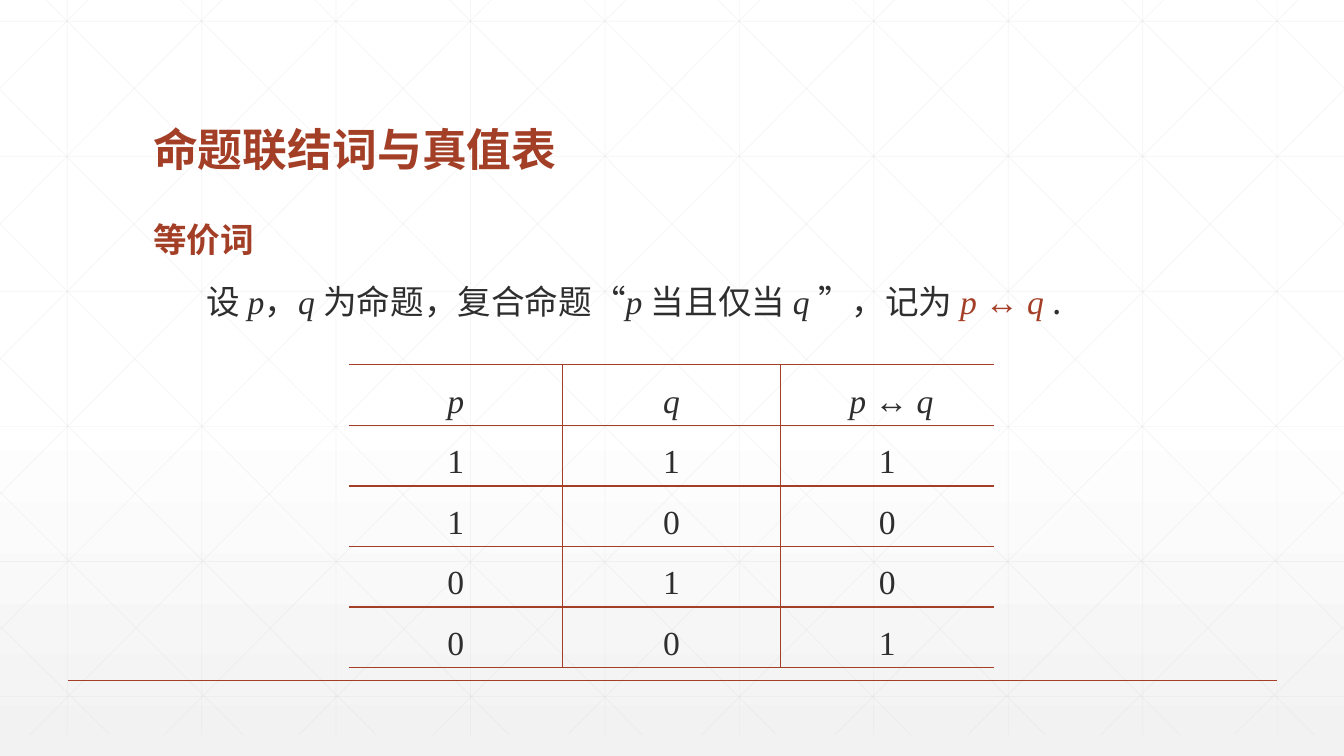
from dataclasses import dataclass

from lxml.etree import SubElement
from pptx import Presentation
from pptx.dml.color import RGBColor
from pptx.enum.shapes import MSO_CONNECTOR
from pptx.enum.text import MSO_ANCHOR, PP_ALIGN
from pptx.oxml import parse_xml
from pptx.oxml.ns import nsdecls, qn
from pptx.util import Inches, Pt

COLORS = {
    "accent": "A43F27",
    "ink": "2D2E2D",
    "lattice": "D9D9D9",
    "sky": "FFFFFF",
    "ground": "F2F2F2",
}
HAN = "Noto Sans CJK SC"
MATH = "Times New Roman"
WIDTH, HEIGHT = 13.33, 7.5
LATTICE_TOP, LATTICE_BOTTOM = -0.21, 7.29
STEP = 4 / 3


@dataclass(frozen=True)
class Words:
    text: str
    color: str = "ink"
    latin: str = HAN
    east_asian: str = HAN
    size: int = 24
    bold: bool = False
    italic: bool = False


@dataclass(frozen=True)
class Segment:
    x1: float
    y1: float
    x2: float
    y2: float
    color: str = "lattice"
    width: float = 0.5
    opacity: int = 25

    def mirrored(self) -> "Segment":
        return Segment(WIDTH - self.x1, self.y1, WIDTH - self.x2, self.y2)


def symbol(text: str, color: str = "ink", italic: bool = True) -> Words:
    return Words(text, color, MATH, MATH, italic=italic)


def add_words(paragraph, phrases: list[Words]) -> None:
    for phrase in phrases:
        run = paragraph.add_run()
        run.text = phrase.text
        font = run.font
        font.size = Pt(phrase.size)
        font.bold = phrase.bold
        font.italic = phrase.italic
        font.color.rgb = RGBColor.from_string(COLORS[phrase.color])
        font.name = phrase.latin
        SubElement(run._r.get_or_add_rPr(), qn("a:ea")).set("typeface", phrase.east_asian)


def add_text(slide, left: float, top: float, width: float, height: float,
             lines: list[list[Words]], anchor=MSO_ANCHOR.TOP):
    frame = slide.shapes.add_textbox(
        Inches(left), Inches(top), Inches(width), Inches(height)).text_frame
    frame.word_wrap = True
    frame.vertical_anchor = anchor
    for index, phrases in enumerate(lines):
        paragraph = frame.add_paragraph() if index else frame.paragraphs[0]
        paragraph.line_spacing = 0.9
        if index:
            paragraph.space_before = Pt(18)
        add_words(paragraph, phrases)
    return frame


def add_segment(slide, segment: Segment) -> None:
    connector = slide.shapes.add_connector(
        MSO_CONNECTOR.STRAIGHT, Inches(segment.x1), Inches(segment.y1),
        Inches(segment.x2), Inches(segment.y2))
    connector.line.width = Pt(segment.width)
    connector.line.color.rgb = RGBColor.from_string(COLORS[segment.color])
    properties = connector._element.spPr
    if segment.opacity < 100:
        tint = properties.find(".//" + qn("a:srgbClr"))
        SubElement(tint, qn("a:alpha")).set("val", str(segment.opacity * 1000))
    SubElement(properties, qn("a:effectLst"))


def lattice() -> list[Segment]:
    verticals = [Segment(x, LATTICE_TOP, x, LATTICE_BOTTOM)
                 for x in (STEP * (i + 0.5) for i in range(10))]
    horizontals = [Segment(0, y, WIDTH, y) for y in (0.21 + 1.34 * i for i in range(6))]
    diagonals = []
    for i in range(10):
        start = 0.25 + STEP * i
        run = min(7.45, WIDTH - start)
        diagonals.append(Segment(start, LATTICE_TOP, start + run, LATTICE_TOP + run * 7.5 / 7.45))
    diagonals += [Segment(0, 0.89 + 1.33 * i, 6.37 - 1.32 * i, LATTICE_BOTTOM) for i in range(5)]
    return verticals + horizontals + diagonals + [line.mirrored() for line in diagonals]


def paint_background(slide) -> None:
    fill = slide.background.fill
    fill.gradient()
    gradient = slide.background._cSld.find(".//" + qn("a:gradFill"))
    stops = "".join(
        f'<a:gs pos="{position * 1000}"><a:srgbClr val="{COLORS[color]}"/></a:gs>'
        for position, color in ((0, "sky"), (53, "sky"), (100, "ground")))
    gradient.replace(gradient.find(qn("a:gsLst")),
                     parse_xml(f'<a:gsLst {nsdecls("a")}>{stops}</a:gsLst>'))
    gradient.find(qn("a:lin")).set("ang", "5400000")


def rule_cell(cell, open_edges: set[str]) -> None:
    properties = cell._tc.get_or_add_tcPr()
    for index, edge in enumerate("LRTB"):
        paint = ("<a:noFill/>" if edge in open_edges else
                 f'<a:solidFill><a:srgbClr val="{COLORS["accent"]}"/></a:solidFill>')
        properties.insert(index, parse_xml(
            f'<a:ln{edge} {nsdecls("a")} w="{Pt(1)}">{paint}</a:ln{edge}>'))


def add_truth_table(slide) -> None:
    header = [[symbol("p")], [symbol("q")],
              [symbol(" ", italic=False), symbol("p "), symbol("↔ ", italic=False), symbol("q")]]
    values = [(p, q, int(p == q)) for p in (1, 0) for q in (1, 0)]
    rows = [header] + [[[symbol(str(value), italic=False)] for value in row] for row in values]
    table = slide.shapes.add_table(
        len(rows), len(header), Inches(3.46), Inches(3.62), Inches(6.41), Inches(2.89)).table
    table.first_row = False
    table.horz_banding = False
    for column, width in zip(table.columns, (2.12, 2.16, 2.12)):
        column.width = Inches(width)
    open_edges = [{"L"}, set(), {"R"}]
    for row_index, row in enumerate(rows):
        for column_index, phrases in enumerate(row):
            cell = table.cell(row_index, column_index)
            cell.margin_left = cell.margin_right = Inches(0.07)
            cell.margin_top = cell.margin_bottom = Inches(0)
            cell.fill.background()
            rule_cell(cell, open_edges[column_index])
            paragraph = cell.text_frame.paragraphs[0]
            paragraph.alignment = PP_ALIGN.CENTER
            paragraph.line_spacing = 1.5
            add_words(paragraph, phrases)


def main() -> None:
    presentation = Presentation()
    presentation.slide_width = Inches(WIDTH)
    presentation.slide_height = Inches(HEIGHT)
    slide = presentation.slides.add_slide(presentation.slide_layouts[6])
    paint_background(slide)
    footer_rule = Segment(0.67, 6.75, 12.67, 6.75, "accent", 1, 100)
    for segment in lattice() + [footer_rule]:
        add_segment(slide, segment)

    add_text(slide, 1.42, 0.55, 10.5, 1.25,
             [[Words("命题联结词与真值表", "accent", size=32, bold=True)]], MSO_ANCHOR.BOTTOM)
    definition = [
        Words("设 "), symbol("p"), Words("，"), symbol("q "),
        Words("为命题，复合命题“"), symbol("p "), Words("当且仅当 ", latin=MATH),
        symbol("q "), Words("”，记为 "), symbol("p ", "accent"),
        symbol("↔ ", "accent", italic=False), symbol("q ", "accent"), Words("."),
    ]
    body = add_text(slide, 1.42, 2.17, 10.5, 4.17,
                    [[Words("等价词", "accent", bold=True)], definition])
    body.paragraphs[1]._p.get_or_add_pPr().set("indent", str(Inches(0.53)))
    add_truth_table(slide)
    presentation.save("out.pptx")


if __name__ == "__main__":
    main()
